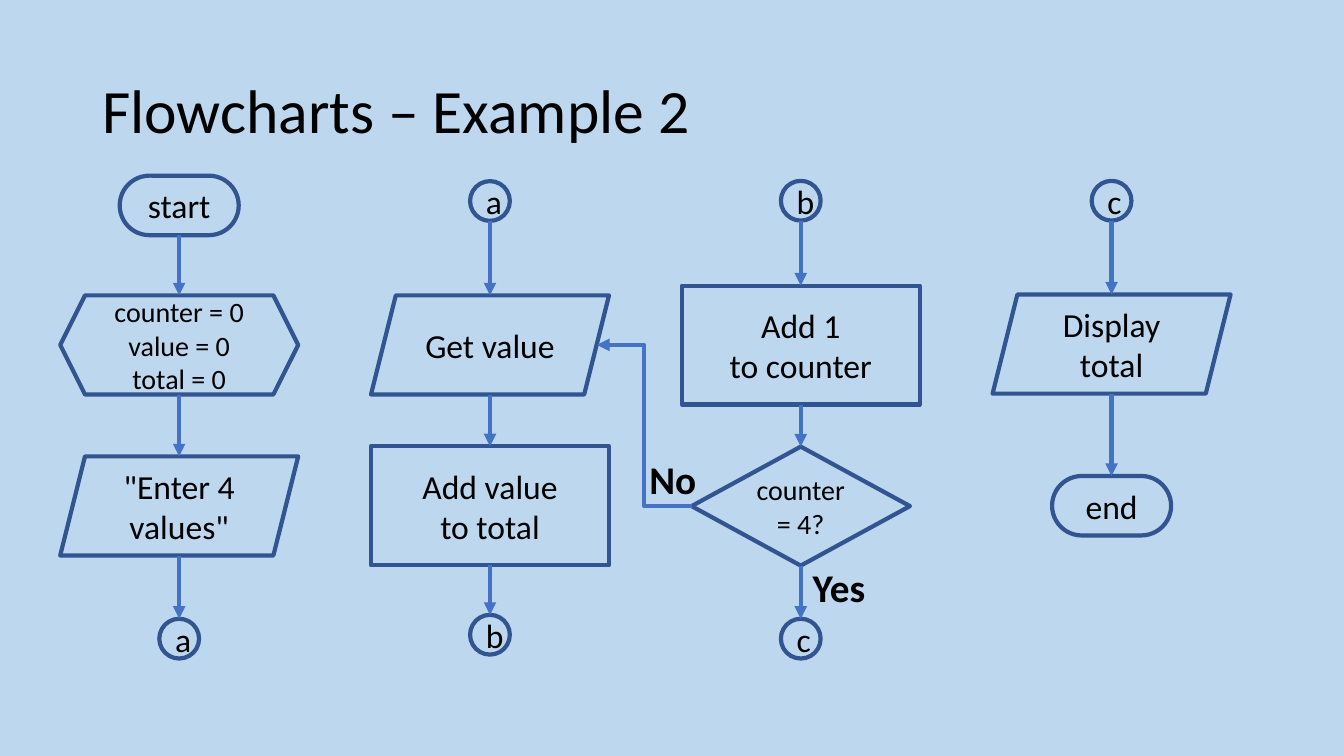
"""Build a flowchart slide that adds up four entered values."""
from dataclasses import dataclass
from itertools import pairwise

from lxml.etree import SubElement
from pptx import Presentation
from pptx.dml.color import RGBColor
from pptx.enum.shapes import MSO_CONNECTOR, MSO_SHAPE
from pptx.enum.text import MSO_ANCHOR, PP_ALIGN
from pptx.oxml.ns import qn
from pptx.shapes.connector import Connector
from pptx.slide import Slide
from pptx.text.text import TextFrame
from pptx.util import Pt

BACKGROUND = RGBColor(0xBD, 0xD7, 0xEE)
OUTLINE = RGBColor(0x32, 0x54, 0x91)
ARROW = RGBColor(0x44, 0x72, 0xC4)
BLACK = RGBColor(0, 0, 0)
FONT = "Calibri"
LINE_WIDTH = 3
FIRST_CENTER = 128
COLUMN_PITCH = 222


@dataclass(frozen=True)
class Kind:
    shape: MSO_SHAPE
    width: float
    height: float
    size: int = 24
    inset: float = 3.6
    adjustment: float | None = None


@dataclass(frozen=True)
class Step:
    kind: Kind
    top: float
    text: str

    @property
    def bottom(self) -> float:
        return self.top + self.kind.height


@dataclass(frozen=True)
class Label:
    text: str
    left: float
    top: float
    width: float
    height: float
    size: int
    bold: bool = False
    wrap: bool = False
    align: PP_ALIGN = PP_ALIGN.CENTER
    anchor: MSO_ANCHOR = MSO_ANCHOR.TOP
    spacing: float = 1.0


TERMINAL = Kind(MSO_SHAPE.ROUNDED_RECTANGLE, 85, 42.5, adjustment=0.5)
PREPARATION = Kind(MSO_SHAPE.HEXAGON, 170, 70.8, size=20)
DATA = Kind(MSO_SHAPE.PARALLELOGRAM, 170, 70.8)
PROCESS = Kind(MSO_SHAPE.RECTANGLE, 170, 85)
DECISION = Kind(MSO_SHAPE.DIAMOND, 156, 85, size=20)
JUNCTION = Kind(MSO_SHAPE.OVAL, 28.4, 28.4, inset=5.76)

COLUMNS = [
    [
        Step(TERMINAL, 125.5, "start"),
        Step(PREPARATION, 211, "counter = 0\nvalue = 0\ntotal = 0"),
        Step(DATA, 326, '"Enter 4 values"'),
        Step(JUNCTION, 442, "a"),
    ],
    [
        Step(JUNCTION, 129.4, "a"),
        Step(DATA, 211, "Get value"),
        Step(PROCESS, 318.8, "Add value\nto total"),
        Step(JUNCTION, 439.2, "b"),
    ],
    [
        Step(JUNCTION, 129.2, "b"),
        Step(PROCESS, 204, "Add 1\nto counter"),
        Step(DECISION, 319, "counter\n= 4?"),
        Step(JUNCTION, 442, "c"),
    ],
    [
        Step(JUNCTION, 129.2, "c"),
        Step(DATA, 210.4, "Display total"),
        Step(TERMINAL, 340, "end"),
    ],
]

LABELS = [
    Label("Flowcharts – Example 2", 66, 28.8, 828, 104.4, 44, wrap=True,
          align=PP_ALIGN.LEFT, anchor=MSO_ANCHOR.MIDDLE, spacing=0.9),
    Label("Yes", 573, 399, 52.6, 41, 28, bold=True),
    Label("No", 456.5, 321.8, 48.2, 41, 28, bold=True),
]


def format_text(tf: TextFrame, size: int, bold: bool = False,
                align: PP_ALIGN = PP_ALIGN.CENTER, spacing: float = 1.0) -> None:
    for p in tf.paragraphs:
        p.alignment = align
        p.line_spacing = spacing
        for r in p.runs:
            r.font.name = FONT
            r.font.size = Pt(size)
            r.font.bold = bold
            r.font.color.rgb = BLACK


def add_step(s: Slide, step: Step, center: float) -> None:
    kind = step.kind
    sp = s.shapes.add_shape(kind.shape, Pt(center - kind.width / 2), Pt(step.top),
                            Pt(kind.width), Pt(kind.height))
    if kind.adjustment is not None:
        sp.adjustments[0] = kind.adjustment
    sp.shadow.inherit = False
    sp.fill.background()
    sp.line.color.rgb = OUTLINE
    sp.line.width = Pt(LINE_WIDTH)
    tf = sp.text_frame
    tf.text = step.text
    tf.word_wrap = True
    tf.vertical_anchor = MSO_ANCHOR.MIDDLE
    tf.margin_top = tf.margin_bottom = Pt(kind.inset)
    format_text(tf, kind.size)


def add_arrow(s: Slide, x1: float, y1: float, x2: float, y2: float,
              route: MSO_CONNECTOR = MSO_CONNECTOR.STRAIGHT) -> Connector:
    arrow = s.shapes.add_connector(route, Pt(x1), Pt(y1), Pt(x2), Pt(y2))
    arrow.line.color.rgb = ARROW
    arrow.line.width = Pt(LINE_WIDTH)
    SubElement(arrow.line._get_or_add_ln(), qn("a:tailEnd"), type="triangle")
    SubElement(arrow._element.spPr, qn("a:effectLst"))
    return arrow


def add_label(s: Slide, label: Label) -> None:
    sp = s.shapes.add_textbox(Pt(label.left), Pt(label.top),
                              Pt(label.width), Pt(label.height))
    tf = sp.text_frame
    tf.text = label.text
    tf.word_wrap = label.wrap
    tf.vertical_anchor = label.anchor
    format_text(tf, label.size, label.bold, label.align, label.spacing)


def main() -> None:
    prs = Presentation()
    prs.slide_width, prs.slide_height = Pt(960), Pt(540)
    s = prs.slides.add_slide(prs.slide_layouts[6])
    s.background.fill.solid()
    s.background.fill.fore_color.rgb = BACKGROUND

    for i, column in enumerate(COLUMNS):
        center = FIRST_CENTER + i * COLUMN_PITCH
        for step in column:
            add_step(s, step, center)
        for upper, lower in pairwise(column):
            add_arrow(s, center, upper.bottom, center, lower.top)

    add_arrow(s, 494, 361.5, 426.4, 246.4, MSO_CONNECTOR.ELBOW)
    for label in LABELS:
        add_label(s, label)
    prs.save("out.pptx")


if __name__ == "__main__":
    main()
